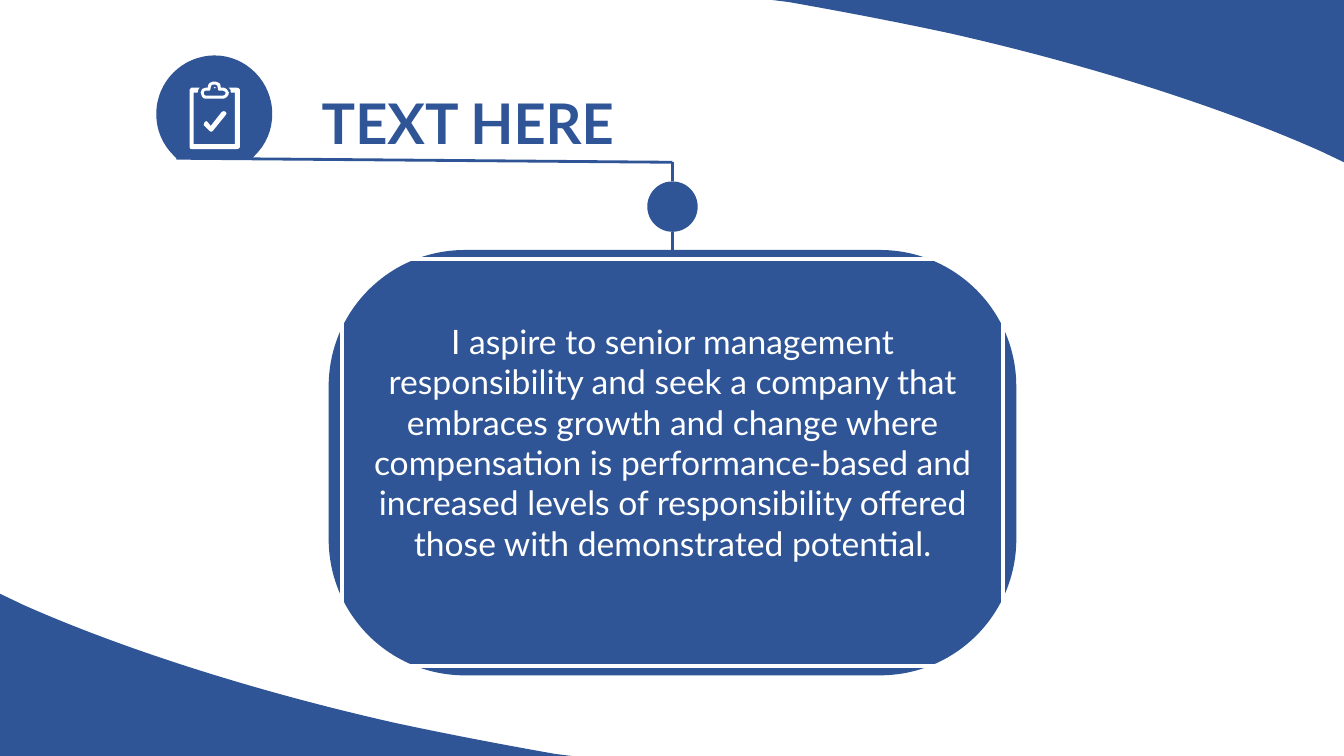
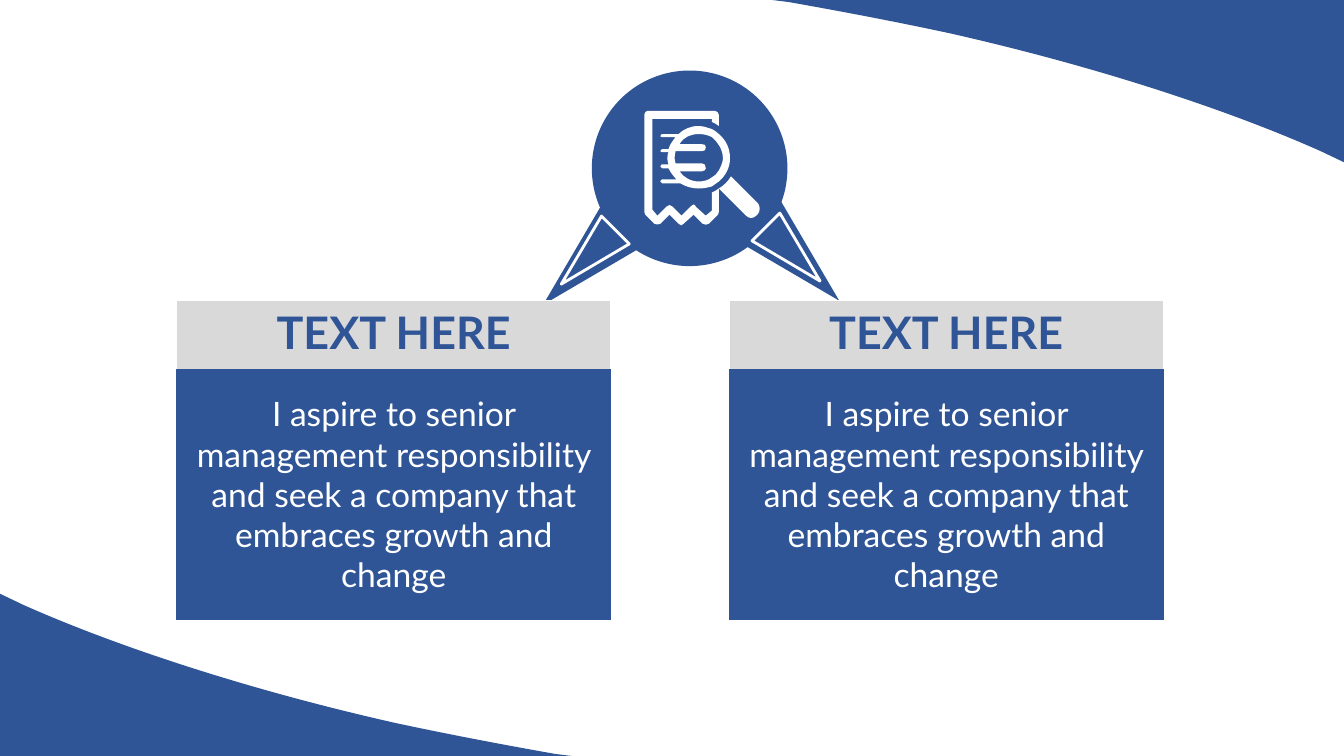
import dataclasses

import lxml.etree
import pptx
import pptx.dml.color
import pptx.enum.shapes
import pptx.enum.text
import pptx.oxml.ns
import pptx.util

Inches = pptx.util.Inches
SHAPE = pptx.enum.shapes.MSO_SHAPE
ANCHOR = pptx.enum.text.MSO_ANCHOR
qn = pptx.oxml.ns.qn


@dataclasses.dataclass(frozen=True)
class Theme:
    blue: str = "2F5597"
    white: str = "FFFFFF"
    grey: str = "D9D9D9"
    font: str = "Lato"
    title_size: int = 40
    heading_size: int = 32
    body_size: int = 24
    line_width: int = 2
    slide_width: float = 13.33
    slide_height: float = 7.5


THEME = Theme()

# Outlines in inches from the corner of their box. The first point starts a
# contour, a pair is a straight line, six numbers are a Bézier curve.
WAVE = [[(0, 0), (0.23, 0.11), (1.15, 0.52, 2.45, 0.95, 3.91, 1.28),
         (4.47, 1.4, 5, 1.5, 5.51, 1.59), (5.67, 1.61), (0, 1.61)]]
CUT_CIRCLE = [[(0.58, 0), (0.89, 0, 1.15, 0.26, 1.15, 0.58),
               (1.15, 0.74, 1.09, 0.88, 0.98, 0.99), (0.95, 1.02), (0.2, 1.02),
               (0.17, 0.99), (0.06, 0.88, 0, 0.74, 0, 0.58),
               (0, 0.26, 0.26, 0, 0.58, 0)]]
BOARD = [[(0.47, 0.06), (0.39, 0.06), (0.41, 0.07, 0.41, 0.09, 0.41, 0.11),
          (0.45, 0.11), (0.45, 0.62), (0.04, 0.62), (0.04, 0.11), (0.08, 0.11),
          (0.08, 0.09, 0.09, 0.07, 0.1, 0.06), (0.02, 0.06),
          (0.01, 0.06, 0, 0.07, 0, 0.08), (0, 0.65),
          (0, 0.66, 0.01, 0.67, 0.02, 0.67), (0.47, 0.67),
          (0.48, 0.67, 0.5, 0.66, 0.5, 0.65), (0.5, 0.08),
          (0.5, 0.07, 0.48, 0.06, 0.47, 0.06)]]
CHECK_MARK = [[(0.36, 0.3), (0.35, 0.29, 0.33, 0.29, 0.32, 0.3), (0.21, 0.44),
               (0.18, 0.4), (0.17, 0.39, 0.16, 0.39, 0.15, 0.4),
               (0.14, 0.41, 0.14, 0.42, 0.14, 0.43), (0.2, 0.49),
               (0.21, 0.5, 0.22, 0.5, 0.23, 0.49), (0.36, 0.33),
               (0.37, 0.32, 0.37, 0.31, 0.36, 0.3)]]
CLIP = [
    [(0.16, 0.17), (0.33, 0.17), (0.36, 0.17, 0.39, 0.14, 0.39, 0.11),
     (0.38, 0.08, 0.36, 0.06, 0.34, 0.06), (0.31, 0.06),
     (0.31, 0.02, 0.29, 0, 0.26, 0), (0.23, 0),
     (0.21, 0, 0.18, 0.02, 0.18, 0.06), (0.16, 0.06),
     (0.13, 0.06, 0.11, 0.08, 0.11, 0.11),
     (0.11, 0.14, 0.13, 0.17, 0.16, 0.17)],
    [(0.14, 0.11), (0.14, 0.1, 0.15, 0.09, 0.16, 0.09), (0.2, 0.09),
     (0.2, 0.09, 0.21, 0.08, 0.21, 0.06), (0.21, 0.04, 0.22, 0.03, 0.23, 0.03),
     (0.26, 0.03), (0.27, 0.03, 0.28, 0.04, 0.28, 0.06), (0.28, 0.07),
     (0.28, 0.08, 0.29, 0.09, 0.29, 0.09), (0.33, 0.09),
     (0.34, 0.09, 0.35, 0.1, 0.36, 0.11), (0.36, 0.13, 0.34, 0.14, 0.33, 0.14),
     (0.16, 0.14), (0.15, 0.14, 0.14, 0.13, 0.14, 0.11)],
]
RIVET = [[(0, 0.01), (0, 0, 0.02, 0, 0.02, 0.01), (0.02, 0.02, 0, 0.02, 0, 0.01)]]
RECEIPT = [[(0.67, 0.99), (0.61, 1.04), (0.51, 0.95),
            (0.51, 0.94, 0.5, 0.93, 0.49, 0.93), (0.48, 0.93, 0.47, 0.94, 0.46, 0.95),
            (0.37, 1.04), (0.28, 0.95), (0.26, 0.93, 0.24, 0.93, 0.22, 0.95),
            (0.13, 1.04), (0.08, 0.98), (0.08, 0.08), (0.67, 0.08), (0.67, 0.11),
            (0.69, 0.12, 0.72, 0.13, 0.74, 0.15), (0.74, 0.04),
            (0.74, 0.02, 0.72, 0, 0.7, 0), (0.03, 0), (0.02, 0, 0, 0.02, 0, 0.04),
            (0, 1), (0, 1.01, 0.01, 1.02, 0.01, 1.03), (0.1, 1.12),
            (0.12, 1.13, 0.14, 1.13, 0.16, 1.12), (0.25, 1.03), (0.34, 1.12),
            (0.36, 1.14, 0.38, 1.14, 0.39, 1.12), (0.49, 1.03), (0.58, 1.12),
            (0.59, 1.13, 0.6, 1.13, 0.61, 1.13), (0.62, 1.13, 0.63, 1.13, 0.64, 1.12),
            (0.73, 1.03), (0.73, 1.03, 0.74, 1.02, 0.74, 1), (0.74, 0.77),
            (0.72, 0.79, 0.69, 0.8, 0.67, 0.81)]]
LENS = [
    [(0.85, 0.47), (0.85, 0.37, 0.81, 0.29, 0.74, 0.23),
     (0.72, 0.21, 0.69, 0.19, 0.67, 0.18), (0.63, 0.17, 0.59, 0.15, 0.54, 0.15),
     (0.46, 0.15, 0.39, 0.18, 0.34, 0.23), (0.18, 0.23),
     (0.17, 0.23, 0.16, 0.24, 0.16, 0.25), (0.16, 0.26, 0.17, 0.26, 0.18, 0.26),
     (0.31, 0.26), (0.28, 0.3, 0.25, 0.34, 0.24, 0.38), (0.18, 0.38),
     (0.17, 0.38, 0.16, 0.39, 0.16, 0.4), (0.16, 0.4, 0.17, 0.41, 0.18, 0.41),
     (0.24, 0.41), (0.23, 0.43, 0.23, 0.44, 0.23, 0.47),
     (0.23, 0.49, 0.23, 0.51, 0.24, 0.53), (0.18, 0.53),
     (0.17, 0.53, 0.16, 0.54, 0.16, 0.55), (0.16, 0.55, 0.17, 0.57, 0.18, 0.57),
     (0.24, 0.57), (0.26, 0.61, 0.29, 0.65, 0.32, 0.68), (0.18, 0.68),
     (0.17, 0.68, 0.16, 0.69, 0.16, 0.7), (0.16, 0.71, 0.17, 0.72, 0.18, 0.72),
     (0.36, 0.72), (0.41, 0.75, 0.47, 0.77, 0.54, 0.77),
     (0.59, 0.77, 0.63, 0.76, 0.67, 0.75), (0.69, 0.73, 0.72, 0.72, 0.74, 0.7),
     (0.81, 0.64, 0.85, 0.56, 0.85, 0.47)],
    [(0.67, 0.66), (0.63, 0.69, 0.59, 0.7, 0.54, 0.7),
     (0.46, 0.7, 0.39, 0.66, 0.35, 0.6), (0.57, 0.6),
     (0.6, 0.6, 0.61, 0.58, 0.61, 0.57), (0.61, 0.54, 0.6, 0.52, 0.57, 0.52),
     (0.31, 0.52), (0.31, 0.51, 0.3, 0.48, 0.3, 0.47),
     (0.3, 0.44, 0.31, 0.42, 0.31, 0.4), (0.57, 0.4),
     (0.6, 0.4, 0.61, 0.39, 0.61, 0.36), (0.61, 0.34, 0.6, 0.33, 0.57, 0.33),
     (0.35, 0.33), (0.39, 0.26, 0.46, 0.23, 0.54, 0.23),
     (0.59, 0.23, 0.63, 0.24, 0.67, 0.26), (0.7, 0.28, 0.72, 0.31, 0.74, 0.34),
     (0.76, 0.37, 0.78, 0.42, 0.78, 0.47), (0.78, 0.51, 0.76, 0.55, 0.74, 0.59),
     (0.72, 0.62, 0.7, 0.65, 0.67, 0.66)],
]
HANDLE = [[(1.13, 0.92), (0.86, 0.65), (0.83, 0.7, 0.79, 0.74, 0.74, 0.77),
           (1.01, 1.04), (1.04, 1.07, 1.08, 1.07, 1.11, 1.04), (1.13, 1.02),
           (1.15, 0.99, 1.15, 0.95, 1.13, 0.92)]]


def rgb(colour):
    return pptx.dml.color.RGBColor.from_string(colour)


def paint(shape, fill=None, line=None):
    shape.shadow.inherit = False
    if fill:
        shape.fill.solid()
        shape.fill.fore_color.rgb = rgb(fill)
    else:
        shape.fill.background()
    if line:
        shape.line.color.rgb = rgb(line)
        shape.line.width = pptx.util.Pt(THEME.line_width)
    else:
        shape.line.fill.background()


def add_preset(shapes, preset, left, top, width, height, fill=None, line=None):
    shape = shapes.add_shape(preset, *map(Inches, (left, top, width, height)))
    paint(shape, fill, line)
    return shape


def bend_curves(shape, contours):
    """Join the three lines through each curve's points into one Bézier curve."""
    lines = iter(list(shape._element.iter(qn("a:lnTo"))))
    for contour in contours:
        for segment in contour[1:]:
            parts = [next(lines) for _ in range(len(segment) // 2)]
            if len(parts) == 3:
                curve = lxml.etree.Element(qn("a:cubicBezTo"))
                parts[0].addprevious(curve)
                for part in parts:
                    curve.append(part[0])
                    part.getparent().remove(part)


def add_outline(shapes, contours, left, top, fill, direction=1):
    """Draw contours from (left, top); direction -1 turns them by 180 degrees."""
    builder = None
    for contour in contours:
        start, *rest = [(Inches(left + direction * x), Inches(top + direction * y))
                        for segment in contour
                        for x, y in zip(segment[::2], segment[1::2])]
        if builder is None:
            builder = shapes.build_freeform(*start)
        else:
            builder.move_to(*start)
        builder.add_line_segments(rest, close=True)
    shape = builder.convert_to_shape()
    bend_curves(shape, contours)
    paint(shape, fill)


def add_line(slide, *ends):
    line = slide.shapes.add_connector(
        pptx.enum.shapes.MSO_CONNECTOR.STRAIGHT, *map(Inches, ends))
    line.line.color.rgb = rgb(THEME.blue)
    line.line.width = pptx.util.Pt(THEME.line_width)
    lxml.etree.SubElement(line._element.spPr, qn("a:effectLst"))


def fill_cell(cell, text, size, colour, bold=False, anchor=ANCHOR.MIDDLE,
              fill=None, sides="", border=1):
    """Write a cell, with white borders on the named sides (of L, R, T, B) only."""
    properties = cell._tc.get_or_add_tcPr()
    for side in "LRTB":
        edge = lxml.etree.SubElement(properties, qn(f"a:ln{side}"))
        if side in sides:
            edge.set("w", str(pptx.util.Pt(border)))
            paint_node = lxml.etree.SubElement(edge, qn("a:solidFill"))
            lxml.etree.SubElement(paint_node, qn("a:srgbClr")).set("val", THEME.white)
        else:
            lxml.etree.SubElement(edge, qn("a:noFill"))
    if fill:
        cell.fill.solid()
        cell.fill.fore_color.rgb = rgb(fill)
    else:
        cell.fill.background()
    cell.vertical_anchor = anchor
    cell.text_frame.text = text
    paragraph = cell.text_frame.paragraphs[0]
    paragraph.alignment = pptx.enum.text.PP_ALIGN.CENTER
    font = paragraph.runs[0].font
    font.name, font.size, font.bold = THEME.font, pptx.util.Pt(size), bold
    font.color.rgb = rgb(colour)


def add_plain_table(slide, left, top, width, row_heights):
    box = map(Inches, (left, top, width, sum(row_heights)))
    table = slide.shapes.add_table(len(row_heights), 1, *box).table
    table.first_row = table.horz_banding = False
    for row, height in zip(table.rows, row_heights):
        row.height = Inches(height)
    return table


def add_corner_waves(slide):
    height = 1.61
    add_outline(slide.shapes, WAVE, 0, THEME.slide_height - height, THEME.blue)
    add_outline(slide.shapes, WAVE, THEME.slide_width, height, THEME.blue, -1)


def add_title_badge(slide, left, top, text):
    """Place the badge with its clipboard, and the title to the right of it."""
    add_outline(slide.shapes, CUT_CIRCLE, left, top, THEME.blue)
    icon = slide.shapes.add_group_shape().shapes
    for outline in (CHECK_MARK, BOARD, CLIP):
        add_outline(icon, outline, left + 0.33, top + 0.26, THEME.white)
    add_outline(icon, RIVET, left + 0.57, top + 0.31, THEME.white)
    title = add_plain_table(slide, left + 1.15, top + 0.02, 3.88, [1.03])
    fill_cell(title.cell(0, 0), text, THEME.title_size, THEME.blue, True, ANCHOR.BOTTOM)


def add_linked_dot(slide, left, top, card_top):
    """Lead a line from the badge at (left, top) through a dot to the card."""
    centre, corner, dot_top, dot_size = 6.67, top + 0.04, top + 0.23, 0.5
    add_line(slide, left, top, centre, corner)
    add_line(slide, centre, corner, centre, dot_top)
    add_line(slide, centre, card_top, centre, dot_top + dot_size)
    add_preset(slide.shapes, SHAPE.OVAL, centre - dot_size / 2, dot_top,
               dot_size, dot_size, THEME.blue)


def add_statement_card(slide, left, top, width, height, text):
    inset_x, inset_y = 0.13, 0.09
    card = add_preset(slide.shapes, SHAPE.ROUNDED_RECTANGLE, left, top,
                      width, height, THEME.blue)
    card.adjustments[0] = 0.32
    table = add_plain_table(slide, left + inset_x, top + inset_y,
                            width - 2 * inset_x, [height - 2 * inset_y])
    cell = table.cell(0, 0)
    fill_cell(cell, text, THEME.body_size, THEME.white, sides="LRTB", border=3)
    cell.margin_left = cell.margin_right = Inches(0.11)
    cell.margin_bottom = Inches(0.45)


def add_hub(slide, left, top):
    """Place the circle with its icon and the two pointers to the panels."""
    hub = slide.shapes.add_group_shape().shapes

    def add_pointers(places, width, height, fill=None, line=None):
        for (x, y), rotation in zip(places, (225, 135)):
            pointer = add_preset(hub, SHAPE.ISOSCELES_TRIANGLE, left + x, top + y,
                                 width, height, fill, line)
            pointer.rotation = rotation

    add_pointers([(0, 1), (1.84, 0.96)], 0.81, 1.55, fill=THEME.blue)
    add_preset(hub, SHAPE.OVAL, left + 0.34, top, 1.94, 1.94, THEME.blue)
    for outline in (RECEIPT, LENS, HANDLE):
        add_outline(hub, outline, left + 0.86, top + 0.4, THEME.white)
    add_pointers([(0.11, 1.47), (2.14, 1.44)], 0.39, 0.76, line=THEME.white)


def add_panel(slide, left, top, heading, text):
    table = add_plain_table(slide, left, top, 4.31, [0.68, 2.49])
    fill_cell(table.cell(0, 0), heading, THEME.heading_size, THEME.blue, True,
              ANCHOR.TOP, THEME.grey, "LRT")
    fill_cell(table.cell(1, 0), text, THEME.body_size, THEME.white, fill=THEME.blue)


def build_statement_slide(slide):
    add_corner_waves(slide)
    add_title_badge(slide, 1.55, 0.55, "TEXT HERE")
    add_linked_dot(slide, 1.75, 1.57, 2.48)
    add_statement_card(
        slide, 3.26, 2.48, 6.82, 4.22,
        "I aspire to senior management responsibility and seek a company that "
        "embraces growth and change where compensation is performance-based and "
        "increased levels of responsibility offered those with demonstrated potential.")


def build_panels_slide(slide):
    add_corner_waves(slide)
    add_hub(slide, 5.53, 0.7)
    for left in (1.75, 7.23):
        add_panel(slide, left, 2.98, "TEXT HERE",
                  "I aspire to senior management responsibility and seek a company "
                  "that embraces growth and change")


def main():
    deck = pptx.Presentation()
    deck.slide_width = Inches(THEME.slide_width)
    deck.slide_height = Inches(THEME.slide_height)
    for build in (build_statement_slide, build_panels_slide):
        build(deck.slides.add_slide(deck.slide_layouts.get_by_name("Blank")))
    deck.save("out.pptx")


if __name__ == "__main__":
    main()
